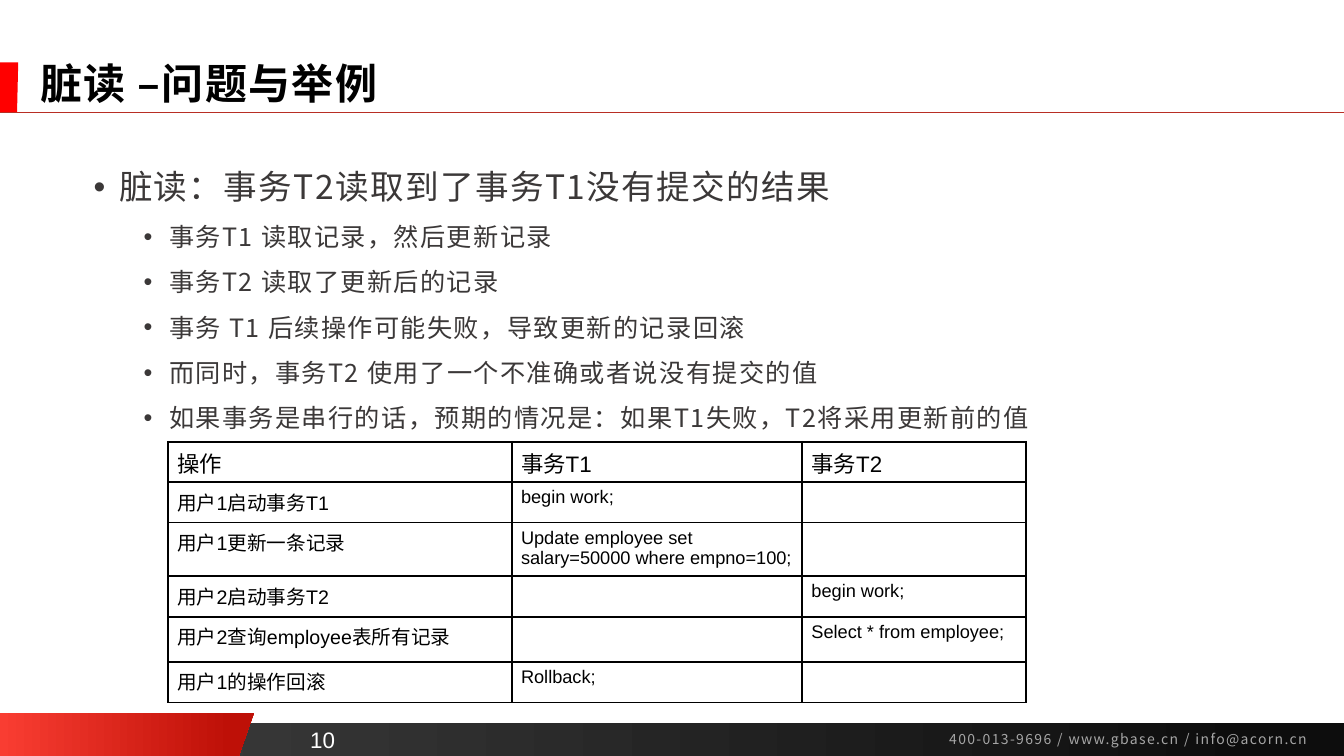
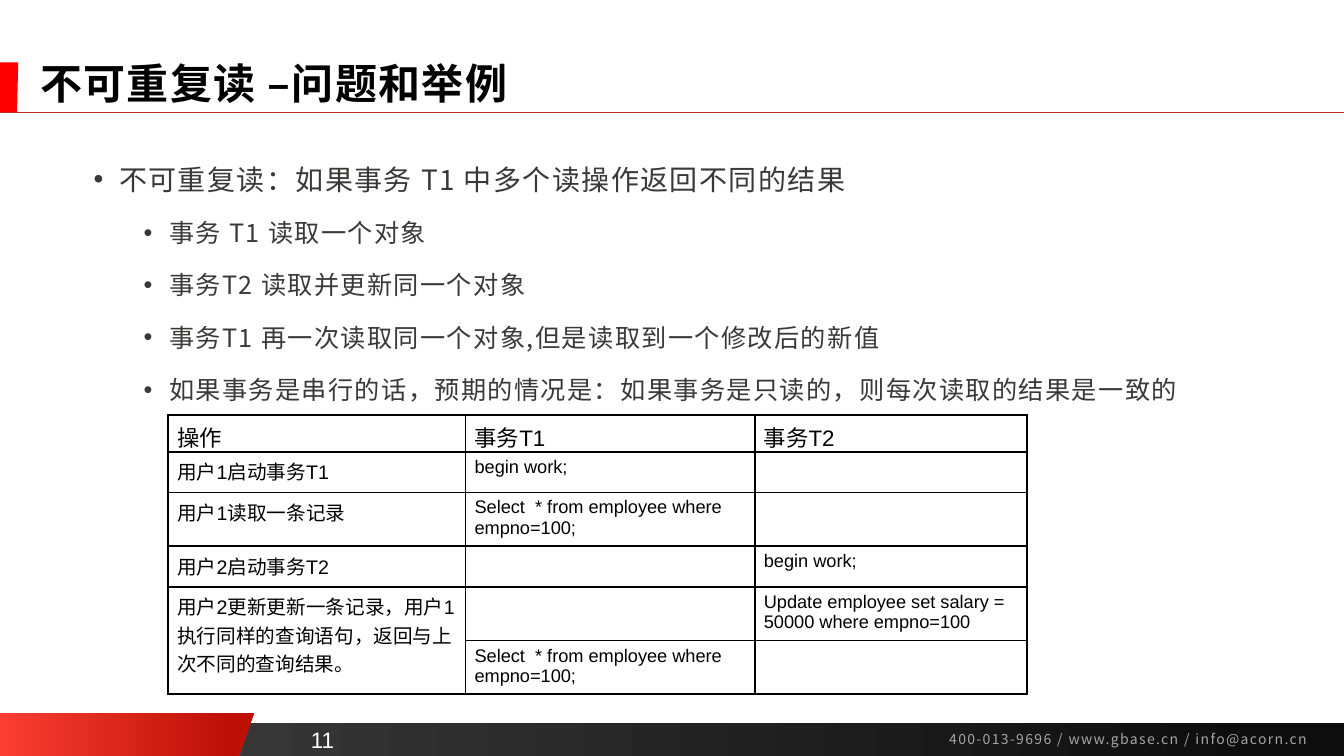
from dataclasses import dataclass
from typing import Optional

from lxml.etree import SubElement
from pptx import Presentation
from pptx.dml.color import RGBColor
from pptx.enum.shapes import MSO_CONNECTOR as Connector, MSO_SHAPE as Preset
from pptx.enum.text import MSO_ANCHOR as Anchor, PP_ALIGN as Align
from pptx.oxml.ns import qn
from pptx.util import Cm, Pt

COLORS = {
    "title": "000000", "body": "3B3838", "contact": "A6A6A6", "page": "FFFFFF",
    "marker": "FF0000", "rule": "B82E24", "grid": "000000", "cell": "FFFFFF",
    "band_start": "404040", "band_end": "0D0D0D",
    "tab_start": "F93D32", "tab_end": "BE1007",
}
CJK_FONT, LATIN_FONT = "Noto Sans CJK SC", "Arial"
WIDTH, HEIGHT = 33.87, 19.05
TABLE_LEFT = 4.24
CONTACT = "400-013-9696 / www.gbase.cn / info@acorn.cn"


@dataclass
class Heading:
    text: str
    size: float
    line: float


@dataclass
class Grid:
    top: float
    columns: list[float]
    heights: list[float]
    rows: list[tuple[str, str, str]]
    merge: Optional[tuple[int, int]] = None  # first and last merged row, column 0


@dataclass
class Topic:
    page: int
    title: str
    heading: Heading
    points: list[str]
    point_gap: float
    grid: Grid


TOPICS = [
    Topic(
        10, "脏读 –问题与举例",
        Heading("脏读：事务T2读取到了事务T1没有提交的结果", 24, 45.4),
        [
            "事务T1 读取记录，然后更新记录",
            "事务T2 读取了更新后的记录",
            "事务 T1 后续操作可能失败，导致更新的记录回滚",
            "而同时，事务T2 使用了一个不准确或者说没有提交的值",
            "如果事务是串行的话，预期的情况是：如果T1失败，T2将采用更新前的值",
        ],
        0,
        Grid(11.13, [8.66, 7.32, 5.64], [1.02, 0.84, 1.3, 0.84, 1.14, 1.02], [
            ("操作", "事务T1", "事务T2"),
            ("用户1启动事务T1", "begin work;", ""),
            ("用户1更新一条记录", "Update employee set salary=50000 where empno=100;", ""),
            ("用户2启动事务T2", "", "begin work;"),
            ("用户2查询employee表所有记录", "", "Select * from employee;"),
            ("用户1的操作回滚", "Rollback;", ""),
        ]),
    ),
    Topic(
        11, "不可重复读 –问题和举例",
        Heading("不可重复读：如果事务 T1 中多个读操作返回不同的结果", 20, 37.6),
        [
            "事务 T1 读取一个对象",
            "事务T2 读取并更新同一个对象",
            "事务T1 再一次读取同一个对象,但是读取到一个修改后的新值",
            "如果事务是串行的话，预期的情况是：如果事务是只读的，则每次读取的结果是一致的",
        ],
        5,
        Grid(10.46, [7.49, 7.29, 6.86], [0.91, 0.84, 1.3, 0.84, 1.3, 1.3], [
            ("操作", "事务T1", "事务T2"),
            ("用户1启动事务T1", "begin work;", ""),
            ("用户1读取一条记录", "Select  * from employee where empno=100;", ""),
            ("用户2启动事务T2", "", "begin work;"),
            ("用户2更新更新一条记录，用户1执行同样的查询语句，返回与上次不同的查询结果。",
             "", "Update employee set salary = 50000 where empno=100"),
            ("", "Select  * from employee where empno=100;", ""),
        ], merge=(4, 5)),
    ),
]


def rgb(name: str) -> RGBColor:
    return RGBColor.from_string(COLORS[name])


def write(paragraph, text: str, *, size: float, color: str, font: str = CJK_FONT,
          bold: bool = False, tracking: float = 0, align=None, line=None,
          before: float = 0, bullet_left: Optional[float] = None) -> None:
    """Put formatted text into a paragraph; bullet_left is the indent in cm."""
    if bullet_left is not None:
        props = paragraph._p.get_or_add_pPr()
        props.set("marL", str(Cm(bullet_left)))
        props.set("indent", str(-Cm(0.64)))
        SubElement(props, qn("a:buFont"), typeface=LATIN_FONT)
        SubElement(props, qn("a:buChar"), char="•")
    paragraph.alignment = align
    paragraph.line_spacing = line
    paragraph.space_before = Pt(before)
    run = paragraph.add_run()
    run.text = text
    run.font.size = Pt(size)
    run.font.bold = bold
    run.font.name = font
    run.font.color.rgb = rgb(color)
    run_props = run._r.get_or_add_rPr()
    run_props.set("spc", str(int(tracking * 100)))
    SubElement(run_props, qn("a:ea"), typeface=CJK_FONT)


def add_box(slide, left: float, top: float, width: float, height: float,
            wrap: bool = True):
    frame = slide.shapes.add_textbox(Cm(left), Cm(top), Cm(width), Cm(height)).text_frame
    frame.word_wrap = wrap
    return frame


def fade(shape, start: str, end: str, end_at: float) -> None:
    """Fill a shape with a left-to-right gradient."""
    shape.shadow.inherit = False
    shape.line.fill.background()
    shape.fill.gradient()
    shape.fill.gradient_angle = 0
    for stop, color, position in zip(shape.fill.gradient_stops, (start, end), (0, end_at)):
        stop.color.rgb = rgb(color)
        stop.position = position


def add_slanted(slide, top: float, top_width: float, bottom_width: float, bottom: float):
    """Outline at the left edge with a slanted right side."""
    builder = slide.shapes.build_freeform(0, Cm(top))
    builder.add_line_segments([(Cm(top_width), Cm(top)), (Cm(bottom_width), Cm(bottom)),
                               (0, Cm(bottom))], close=True)
    return builder.convert_to_shape()


def add_frame(slide, page: int) -> None:
    # Footer band and red tab
    band = slide.shapes.add_shape(Preset.RECTANGLE, 0, Cm(18.21), Cm(WIDTH), Cm(HEIGHT - 18.21))
    fade(band, "band_start", "band_end", 0.94)
    fade(add_slanted(slide, 17.96, 6.4, 6.02, HEIGHT), "tab_start", "tab_end", 0.91)

    # Title marker and rule
    marker = add_slanted(slide, 1.57, 0.46, 0.43, 2.84)
    marker.shadow.inherit = False
    marker.fill.solid()
    marker.fill.fore_color.rgb = rgb("marker")
    marker.line.fill.background()
    rule = slide.shapes.add_connector(Connector.STRAIGHT, 0, Cm(2.83), Cm(WIDTH), Cm(2.83))
    rule.line.color.rgb = rgb("rule")
    rule.line.width = Pt(0.5)
    SubElement(rule._element.spPr, qn("a:effectLst"))

    # Contact line and page number
    contact = add_box(slide, 23.67, 18.29, 10.13, 0.69)
    write(contact.paragraphs[0], CONTACT, size=10, color="contact", tracking=1)
    number = add_box(slide, 7.52, 18.16, 1.22, 0.94, wrap=False)
    number.vertical_anchor = Anchor.BOTTOM
    write(number.paragraphs[0], str(page), size=16, color="page", font=LATIN_FONT,
          align=Align.CENTER)


def add_title(slide, text: str) -> None:
    title = slide.shapes.title
    title.left, title.top, title.width, title.height = Cm(0.76), Cm(1.5), Cm(31.14), Cm(1.35)
    title.text_frame.vertical_anchor = Anchor.MIDDLE
    title.text_frame.word_wrap = True
    write(title.text_frame.paragraphs[0], text, size=30, color="title", bold=True,
          tracking=1, align=Align.LEFT, line=0.9)


def add_points(slide, topic: Topic) -> None:
    body = add_box(slide, 2.11, 3.48, 29.77, 13.59)
    heading = topic.heading
    write(body.paragraphs[0], heading.text, size=heading.size, color="body", tracking=1,
          line=Pt(heading.line), bullet_left=0.64)
    for point in topic.points:
        write(body.add_paragraph(), point, size=18, color="body", tracking=1,
              line=Pt(32.3), before=topic.point_gap, bullet_left=1.9)


def style_cell(cell) -> None:
    cell.margin_left = cell.margin_right = Cm(0.23)
    props = cell._tc.get_or_add_tcPr()
    for side in ("lnL", "lnR", "lnT", "lnB"):
        border = SubElement(props, qn(f"a:{side}"), w=str(Pt(1.5)))
        fill = SubElement(border, qn("a:solidFill"))
        SubElement(fill, qn("a:srgbClr"), val=COLORS["grid"])
    cell.fill.solid()
    cell.fill.fore_color.rgb = rgb("cell")


def add_grid(slide, grid: Grid) -> None:
    table = slide.shapes.add_table(
        len(grid.rows), len(grid.columns), Cm(TABLE_LEFT), Cm(grid.top),
        Cm(sum(grid.columns)), Cm(sum(grid.heights))).table
    table.first_row = table.horz_banding = False
    for column, width in zip(table.columns, grid.columns):
        column.width = Cm(width)
    for r, (height, texts) in enumerate(zip(grid.heights, grid.rows)):
        table.rows[r].height = Cm(height)
        for c, text in enumerate(texts):
            cell = table.cell(r, c)
            style_cell(cell)
            size = 16 if r == 0 else 14 if c == 0 else 13
            write(cell.text_frame.paragraphs[0], text, size=size, color="grid",
                  font=LATIN_FONT)
    if grid.merge:
        first, last = grid.merge
        table.cell(first, 0).merge(table.cell(last, 0))


def main() -> None:
    deck = Presentation()
    deck.slide_width, deck.slide_height = Cm(WIDTH), Cm(HEIGHT)
    title_only = deck.slide_layouts[5]
    for topic in TOPICS:
        slide = deck.slides.add_slide(title_only)
        add_frame(slide, topic.page)
        add_title(slide, topic.title)
        add_points(slide, topic)
        add_grid(slide, topic.grid)
    deck.save("out.pptx")


if __name__ == "__main__":
    main()
